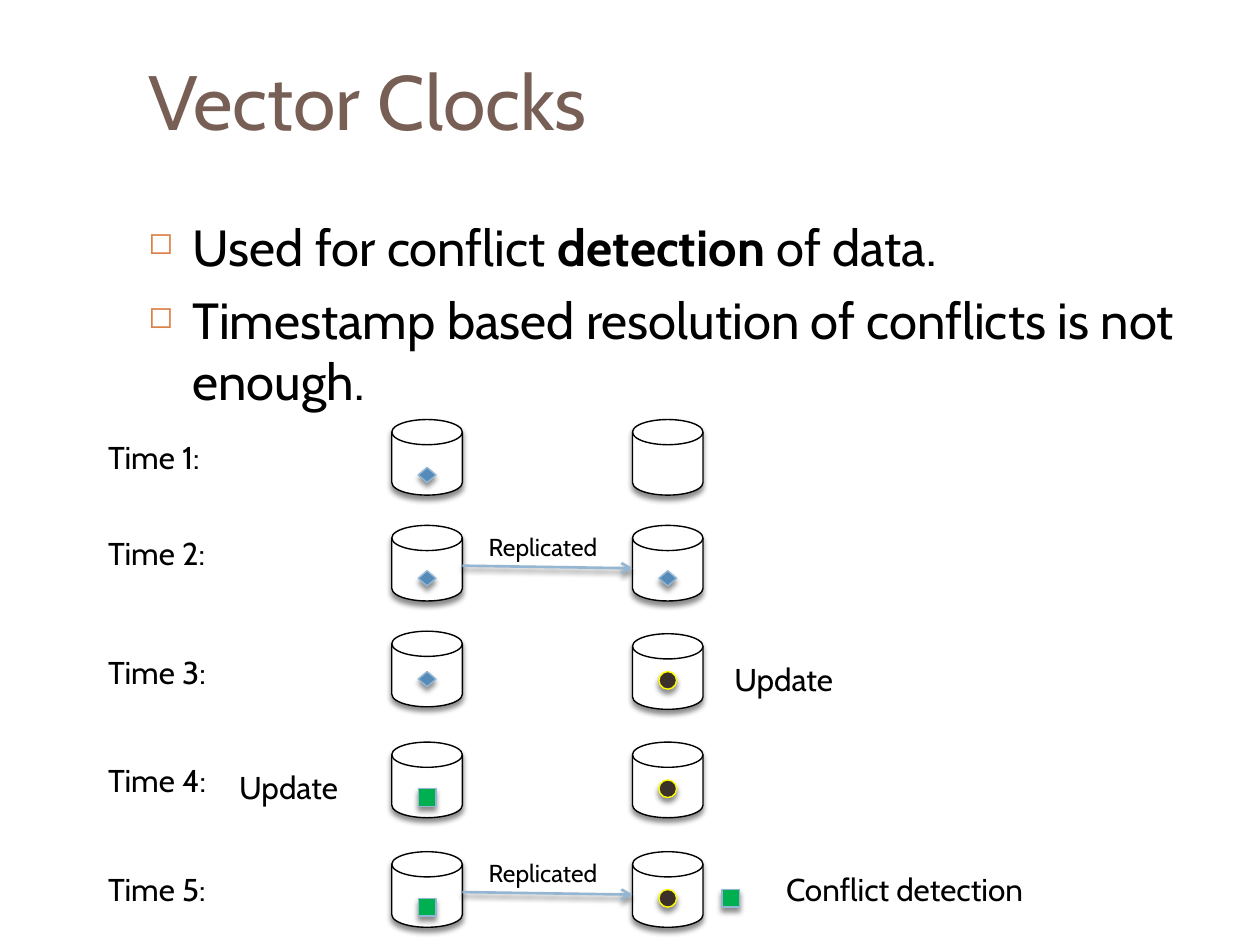
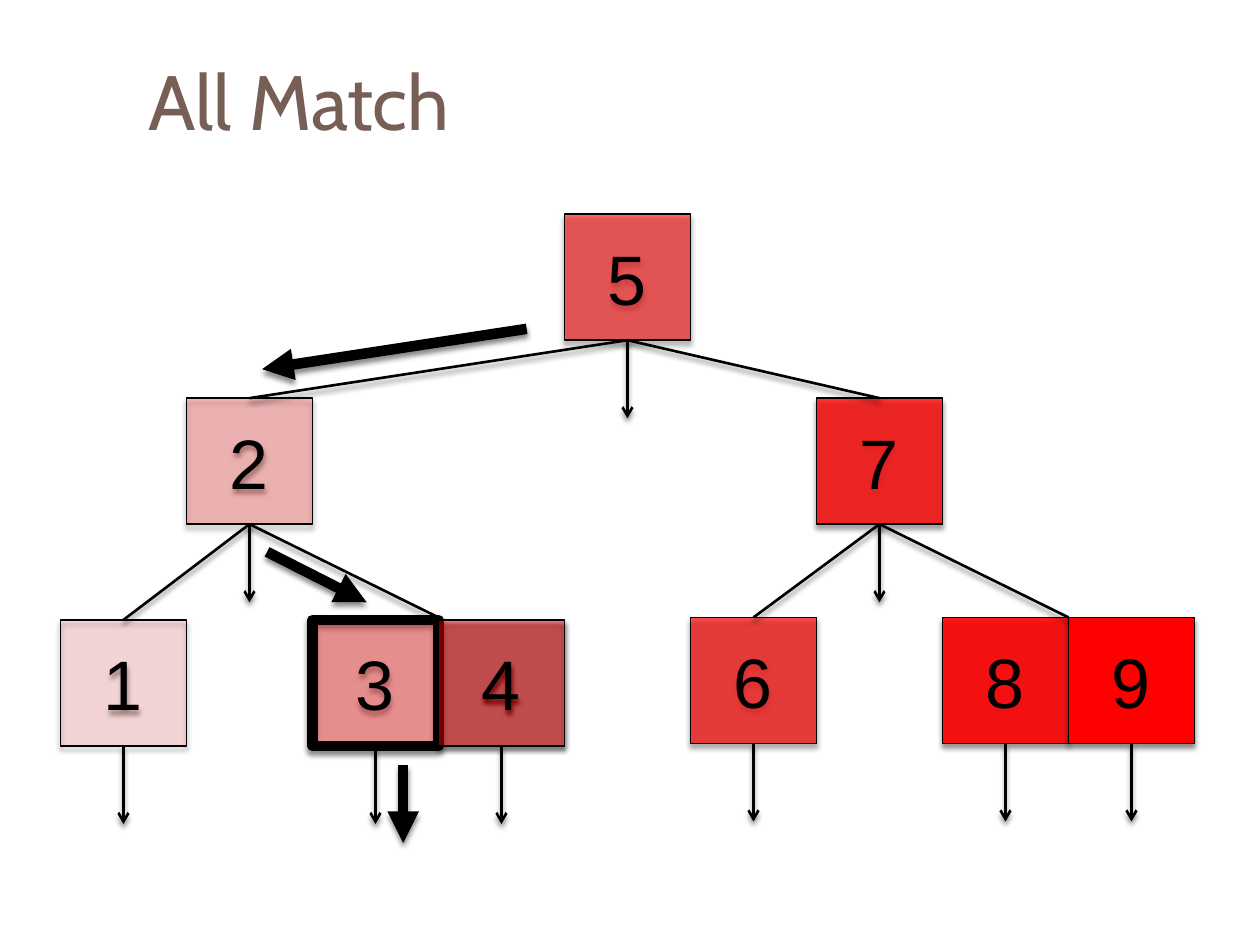
"""Build two slides: vector clock timeline and search tree match."""
from lxml.etree import SubElement
from pptx import Presentation
from pptx.dml.color import RGBColor
from pptx.enum.shapes import MSO_CONNECTOR as Link, MSO_SHAPE as Shape
from pptx.enum.text import MSO_ANCHOR as Anchor, PP_ALIGN as Align
from pptx.oxml.ns import qn
from pptx.util import Inches, Pt

COLORS = {"title": "775F55", "text": "000000", "bullet": "DD8047", "disk": "FFFFFF",
          "first": "558BB8", "edge": "94B6D2", "second": "3C302A", "ring": "FFFF00",
          "third": "00B050", "node": "FF0000"}
FONT, NODE_FONT = "Cabin", "Arial"
THIN, MEDIUM, THICK = 0.79, 1.5, 6

POINTS = [
    [("Used for conflict ", False), ("detection", True), (" of data.", False)],
    [("Timestamp based resolution of conflicts is not enough.", False)],
]
VERSIONS = {
    "first": (Shape.FLOWCHART_DECISION, 0.12, "edge"),
    "second": (Shape.FLOWCHART_CONNECTOR, 0.14, "ring"),
    "third": (Shape.FLOWCHART_PROCESS, 0.14, "edge"),
}
# label, label top, (disk top, version, version top) for each replica, replicated
TIMELINE = [
    ("Time 1:", 3.43, [(3.33, "first", 3.71), (3.33, None, 0)], False),
    ("Time 2:", 4.19, [(4.17, "first", 4.53), (4.17, "first", 4.53)], True),
    ("Time 3:", 5.13, [(5.01, "first", 5.33), (5.03, "second", 5.33)], False),
    ("Time 4:", 5.99, [(5.89, "third", 6.26), (5.89, "second", 6.19)], False),
    ("Time 5:", 6.86, [(6.76, "third", 7.13), (6.76, "second", 7.06)], True),
]
EVENTS = [("Conflict detection", 6.14, 6.86, 2.14), ("Update", 5.73, 5.19, 1.02),
          ("Update", 1.8, 6.05, 1.02)]
REPLICAS, DISK = (3.11, 5.02), (0.56, 0.6)
VERSION_WIDTH, LABEL_LEFT = 0.14, 0.76

NODE_TOPS = {1: 4.92, 2: 3.16, 3: 4.92, 4: 4.92, 5: 1.7, 6: 4.9, 7: 3.16, 8: 4.9, 9: 4.9}
TREE_LEFT, NODE_SIZE, POINTER = 0.48, 1, 0.62
BRANCHES = [(2, 1), (5, 2), (5, 7), (7, 6)]
PAIR_BRANCHES = [(2, 3), (7, 8)]
PAIR_TOP = 4.9
MATCH = 3
MATCH_PATH = [((4.18, 2.61), (2.08, 2.93)), ((2.12, 4.38), (2.91, 4.78)),
              ((3.2, 6.07), (3.2, 6.69))]


def rgb(name):
    return RGBColor.from_string(COLORS[name])


def add_shadow(properties):
    effects = properties.find(qn("a:effectLst"))
    if effects is None:
        effects = SubElement(properties, qn("a:effectLst"))
    shadow = SubElement(effects, qn("a:outerShdw"), blurRad=str(Pt(3)), dist=str(Pt(2.4)),
                        dir="5400000", rotWithShape="0")
    color = SubElement(shadow, qn("a:srgbClr"), val=COLORS["text"])
    SubElement(color, qn("a:alpha"), val="45000")


def style(font, size, color="text", name=FONT):
    font.name, font.size, font.color.rgb = name, Pt(size), rgb(color)


def add_text(slide, text, box, size, color="text", anchor=Anchor.TOP):
    frame = slide.shapes.add_textbox(*map(Inches, box)).text_frame
    frame.word_wrap, frame.vertical_anchor = True, anchor
    frame.text = text
    style(frame.paragraphs[0].font, size, color)
    return frame


def add_figure(slide, kind, box, fill, line, width=THIN):
    figure = slide.shapes.add_shape(kind, *map(Inches, box))
    figure.fill.solid()
    figure.fill.fore_color.rgb = rgb(fill)
    figure.line.color.rgb = rgb(line)
    figure.line.width = Pt(width)
    figure.shadow.inherit = False
    add_shadow(figure._element.spPr)
    return figure


def add_line(slide, start, end, color="text", width=MEDIUM, arrow=None):
    line = slide.shapes.add_connector(Link.STRAIGHT, *map(Inches, (*start, *end)))
    line.line.color.rgb = rgb(color)
    line.line.width = Pt(width)
    if arrow:
        SubElement(line.line._get_or_add_ln(), qn("a:tailEnd"), type=arrow)
    add_shadow(line._element.spPr)
    return line


def add_bullet(paragraph):
    properties = paragraph._p.get_or_add_pPr()
    properties.set("marL", str(Inches(0.35)))
    properties.set("indent", str(-Inches(0.35)))
    color = SubElement(properties, qn("a:buClr"))
    SubElement(color, qn("a:srgbClr"), val=COLORS["bullet"])
    SubElement(properties, qn("a:buSzPct"), val="60000")
    SubElement(properties, qn("a:buChar"), char="◻")


def add_slide(deck, title):
    slide = deck.slides.add_slide(deck.slide_layouts[6])
    add_text(slide, title, (1.08, 0.25, 8.92, 1.08), 44, "title", Anchor.MIDDLE)
    return slide


def add_points(slide):
    frame = slide.shapes.add_textbox(*map(Inches, (1.08, 1.66, 8.92, 5.84))).text_frame
    frame.word_wrap = True
    for index, parts in enumerate(POINTS):
        paragraph = frame.add_paragraph() if index else frame.paragraphs[0]
        add_bullet(paragraph)
        if index:
            paragraph.space_before = Pt(7)
        style(paragraph.font, 29)
        for text, bold in parts:
            run = paragraph.add_run()
            run.text = text
            if bold:
                run.font.bold = True


def add_version(slide, version, left, top):
    kind, height, line = VERSIONS[version]
    add_figure(slide, kind, (left, top, VERSION_WIDTH, height), version, line)


def build_clocks(deck):
    slide = add_slide(deck, "Vector Clocks")
    add_points(slide)
    for label, label_top, states, replicated in TIMELINE:
        add_text(slide, label, (LABEL_LEFT, label_top, 1.03, 0.4), 18)
        for left, (top, version, version_top) in zip(REPLICAS, states):
            add_figure(slide, Shape.FLOWCHART_MAGNETIC_DISK, (left, top, *DISK), "disk", "text")
            if version:
                add_version(slide, version, left + (DISK[0] - VERSION_WIDTH) / 2, version_top)
        if replicated:
            top = states[0][0]
            add_line(slide, (REPLICAS[0] + DISK[0], top + 0.32), (REPLICAS[1], top + 0.34),
                     "edge", arrow="arrow")
            add_text(slide, "Replicated", (3.78, top, 1.13, 0.34), 14)
    add_version(slide, "third", 5.73, 7.06)
    for text, left, top, width in EVENTS:
        add_text(slide, text, (left, top, width, 0.4), 18)


def add_node(slide, number, top):
    left = TREE_LEFT + (number - 1) * NODE_SIZE
    node = add_figure(slide, Shape.RECTANGLE, (left, top, NODE_SIZE, NODE_SIZE), "node", "text",
                      THICK if number == MATCH else THIN)
    color = node._element.spPr.find(qn("a:solidFill"))[0]
    SubElement(color, qn("a:alpha"), val=str((1 + 11 * number) * 1000))
    node.text_frame.text = str(number)
    node.text_frame.vertical_anchor = Anchor.MIDDLE
    paragraph = node.text_frame.paragraphs[0]
    paragraph.alignment = Align.CENTER
    style(paragraph.font, 40, name=NODE_FONT)
    return node


def build_tree(deck):
    slide = add_slide(deck, "All Match")
    nodes = {number: add_node(slide, number, top) for number, top in NODE_TOPS.items()}

    def bottom(number):
        return TREE_LEFT + (number - 0.5) * NODE_SIZE, NODE_TOPS[number] + NODE_SIZE

    for parent, child in BRANCHES:
        branch = add_line(slide, bottom(parent), (bottom(child)[0], NODE_TOPS[child]))
        branch.begin_connect(nodes[parent], 2)
        branch.end_connect(nodes[child], 0)
    for parent, child in PAIR_BRANCHES:
        branch = add_line(slide, bottom(parent), (TREE_LEFT + child * NODE_SIZE, PAIR_TOP))
        branch.begin_connect(nodes[parent], 2)
    for number, node in nodes.items():
        x, y = bottom(number)
        add_line(slide, (x, y), (x, y + POINTER), arrow="arrow").begin_connect(node, 2)
    for start, end in MATCH_PATH:
        add_line(slide, start, end, width=THICK, arrow="triangle")


def main():
    deck = Presentation()
    deck.slide_width, deck.slide_height = Inches(10), Inches(7.5)
    build_clocks(deck)
    build_tree(deck)
    deck.save("out.pptx")


if __name__ == "__main__":
    main()
